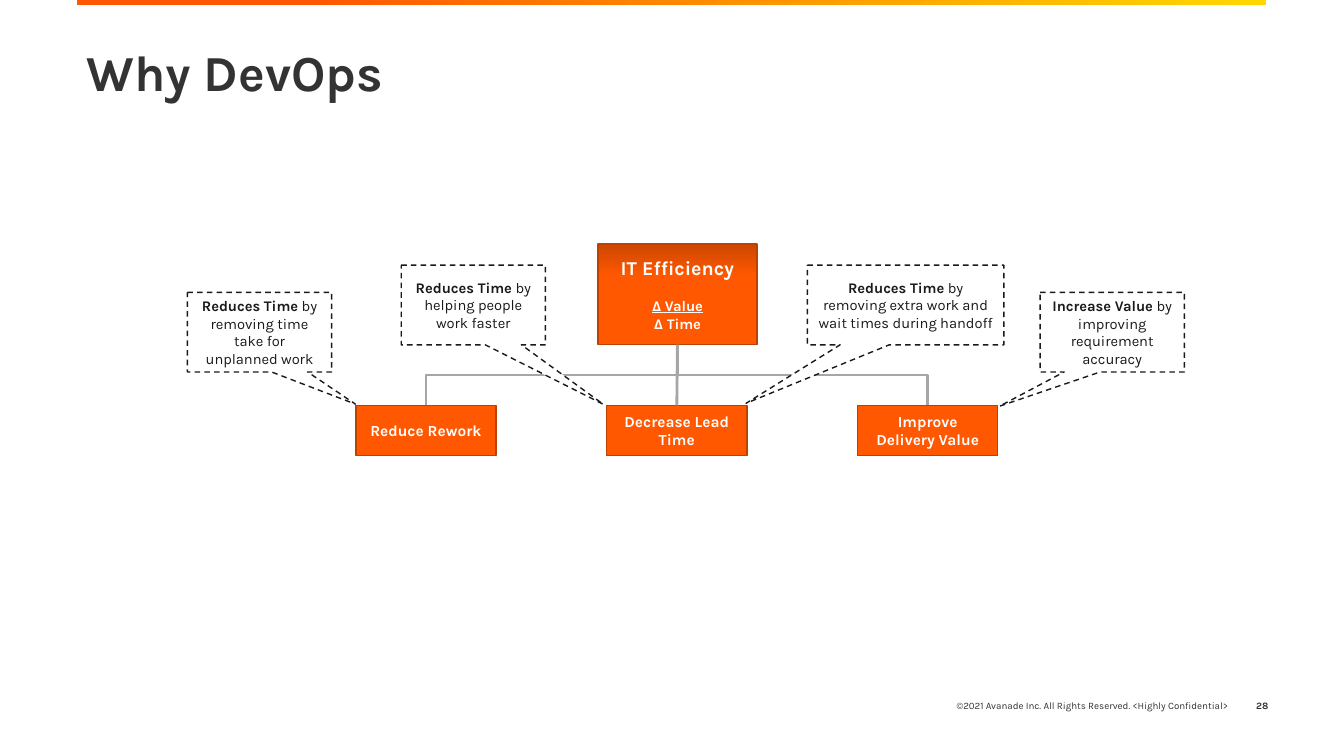
"""Build the Why DevOps slide."""
from pptx import Presentation
from pptx.dml.color import RGBColor
from pptx.enum import dml, shapes, text
from pptx.oxml import ns
from pptx.util import Pt
from lxml import etree

TITLE = "Why DevOps"
FOOT = [
    ("©2021 Avanade Inc. All Rights Reserved. <Highly Confidential>", 560.2, 324, False),
    ("28", 878.4, 34.6, True),
]
HEAD = ["IT Efficiency", "Δ Value", "Δ Time"]
GOALS = ["Reduce Rework", "Decrease Lead Time", "Improve Delivery Value"]
NOTES = [
    ("Reduces Time", " by removing time take for unplanned work", 133.9, 208.8, 103, (0.665, 0.904)),
    ("Reduces Time", " by helping people work faster", 286.6, 189.4, 103, (0.902, 1.247)),
    ("Reduces Time", " by removing extra work and wait times during handoff", 576.7, 189.4, 140.4, (-0.812, 1.234)),
    ("Increase Value", " by improving requirement accuracy", 743, 208.8, 103, (-0.782, 0.93)),
]
ORANGE, RUST, GRAY, INK, DARK, WHITE = "FF5800", "BD4100", "A6A6A6", "1A1A1A", "333333", "FFFFFF"
HEAD_BOX = (427, 174.2, 113.8, 72)
GOAL_X, GOAL_Y, GOAL_W, GOAL_H, STEP = 254.2, 289.5, 100.1, 36, 179.2
NOTE_H = 56.9
KIND = shapes.MSO_SHAPE
LINK = shapes.MSO_CONNECTOR
CENTER, RIGHT = text.PP_ALIGN.CENTER, text.PP_ALIGN.RIGHT
MIDDLE = text.MSO_ANCHOR.MIDDLE


def color(code):
    return RGBColor.from_string(code)


def write(para, words, size=10.5, ink=WHITE, bold=True, under=False, align=CENTER):
    para.alignment = align
    run = para.add_run()
    run.text = words
    font = run.font
    font.name, font.size, font.bold, font.underline = "Karla", Pt(size), bold, under
    font.color.rgb = color(ink)


def blend(fill, first, last, angle):
    fill.gradient()
    fill.gradient_angle = angle
    for stop, (code, place) in zip(fill.gradient_stops, (first, last)):
        stop.color.rgb = color(code)
        stop.position = place


def add_box(slide, box, kind=KIND.RECTANGLE, fill=ORANGE, line=RUST):
    shape = slide.shapes.add_shape(kind, *map(Pt, box))
    shape.shadow.inherit = False
    shape.fill.solid()
    shape.fill.fore_color.rgb = color(fill)
    if line:
        shape.line.color.rgb = color(line)
        shape.line.width = Pt(1)
    else:
        shape.line.fill.background()
    shape.text_frame.word_wrap = True
    shape.text_frame.vertical_anchor = MIDDLE
    return shape


def add_link(slide, start, end, kind=LINK.STRAIGHT, turn=0):
    link = slide.shapes.add_connector(kind, *map(Pt, start + end))
    link.line.color.rgb = color(GRAY)
    link.line.width = Pt(2)
    props = link._element.spPr
    etree.SubElement(props, ns.qn("a:effectLst"))
    if turn:
        props.find(ns.qn("a:xfrm")).set("rot", str(turn * 60000))


def add_elbow(slide, start, end):
    mid_x, mid_y = (start[0] + end[0]) / 2, (start[1] + end[1]) / 2
    side = 1 if end[0] > start[0] else -1
    half_w = side * (end[1] - start[1]) / 2
    half_h = abs(end[0] - start[0]) / 2
    add_link(slide, (mid_x + half_w, mid_y - half_h), (mid_x - half_w, mid_y + half_h),
             LINK.ELBOW, 270 if side > 0 else 90)


def add_frame(slide):
    bar = add_box(slide, (54.7, 0, 849.6, 3.9), line=None)
    blend(bar.fill, (ORANGE, 0.2), ("FFD700", 1), 0)
    for words, left, width, bold in FOOT:
        frame = slide.shapes.add_textbox(Pt(left), Pt(489.6), Pt(width), Pt(28.8)).text_frame
        frame.word_wrap = True
        frame.vertical_anchor = MIDDLE
        write(frame.paragraphs[0], words, size=7, ink=DARK, bold=bold, align=RIGHT)
    title = slide.shapes.title
    title.left, title.top, title.width, title.height = map(Pt, (54.7, 31, 848.9, 78.5))
    title.text_frame.vertical_anchor = text.MSO_ANCHOR.TOP
    para = title.text_frame.paragraphs[0]
    para.line_spacing = 0.9
    write(para, TITLE, size=36, ink=DARK, align=text.PP_ALIGN.LEFT)


def add_tree(slide):
    head = add_box(slide, HEAD_BOX)
    blend(head.fill, ("CC4600", 0), (ORANGE, 0.32), 270)
    frame = head.text_frame
    for i, words in enumerate(HEAD):
        para = frame.add_paragraph() if i else frame.paragraphs[0]
        if i == 1:
            para.space_before = Pt(12.3)
        write(para, words, size=10.5 if i else 14, under=i == 1)
    left, top, width, height = HEAD_BOX
    root = (left + width / 2, top + height)
    for i, words in enumerate(GOALS):
        x = GOAL_X + i * STEP
        goal = add_box(slide, (x, GOAL_Y, GOAL_W, GOAL_H))
        write(goal.text_frame.paragraphs[0], words, size=11)
        join = add_link if i == 1 else add_elbow
        join(slide, root, (x + GOAL_W / 2, GOAL_Y))


def add_notes(slide):
    for lead, rest, left, top, width, tip in NOTES:
        note = add_box(slide, (left, top, width, NOTE_H), KIND.RECTANGULAR_CALLOUT, WHITE, INK)
        note.line.dash_style = dml.MSO_LINE.DASH
        note.adjustments[0], note.adjustments[1] = tip
        para = note.text_frame.paragraphs[0]
        write(para, lead, ink=INK)
        write(para, rest, ink=INK, bold=False)


def main():
    deck = Presentation()
    deck.slide_width, deck.slide_height = Pt(960), Pt(540)
    slide = deck.slides.add_slide(deck.slide_layouts[5])
    add_frame(slide)
    add_tree(slide)
    add_notes(slide)
    deck.save("out.pptx")


if __name__ == "__main__":
    main()
